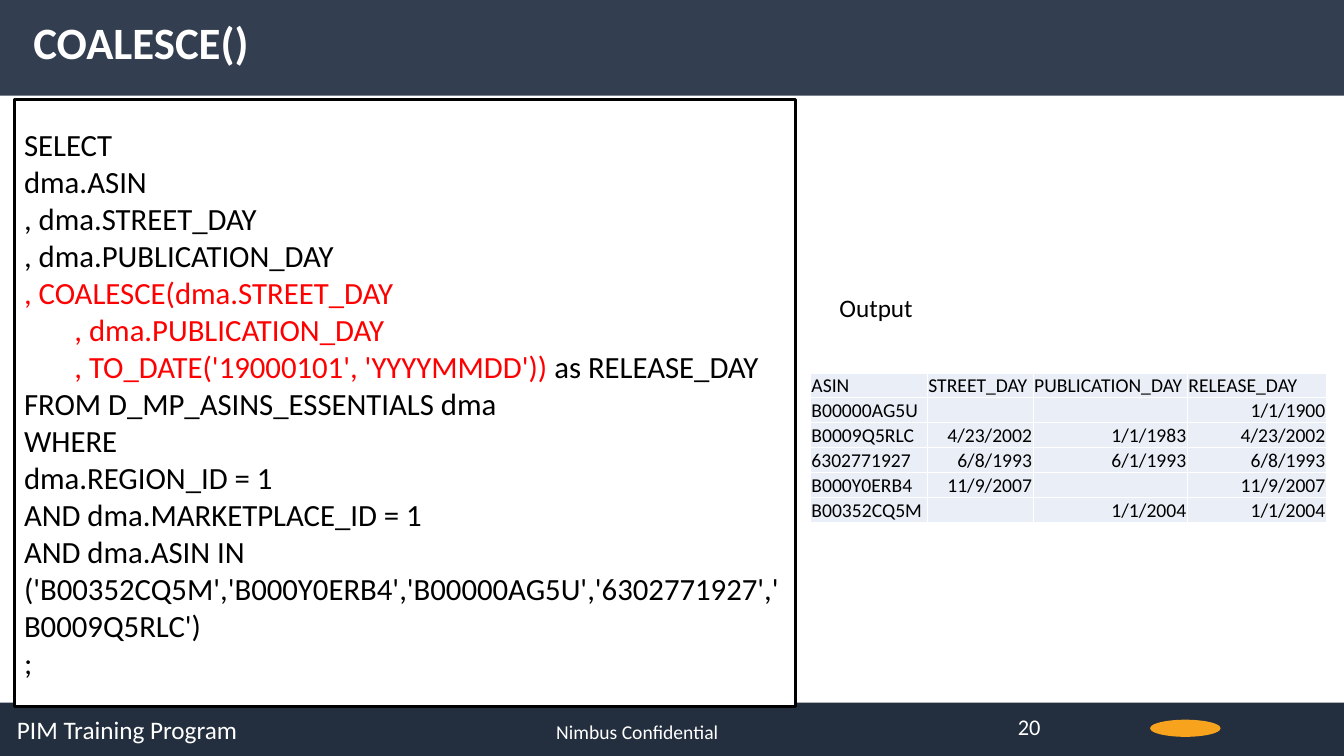
"""Build the COALESCE() training slide: a query on the left and its output table on the right."""
from dataclasses import dataclass
from typing import Any

import pptx
import pptx.dml.color
import pptx.enum.shapes
import pptx.enum.text
import pptx.oxml
import pptx.oxml.ns
import pptx.util

SHAPE = pptx.enum.shapes.MSO_SHAPE
ALIGN = pptx.enum.text.PP_ALIGN
ANCHOR = pptx.enum.text.MSO_ANCHOR
COLUMNS, ROWS = 160, 90
UNIT = pptx.util.Inches(7.5) // ROWS


@dataclass(frozen=True)
class Theme:
    font: str = "Calibri"
    header: str = "333F50"
    footer: str = "232F3E"
    accent: str = "F7A31E"
    cell: str = "EAEFF7"
    white: str = "FFFFFF"
    black: str = "000000"
    red: str = "FF0000"
    title: int = 32
    code: int = 22
    body: int = 18
    number: int = 16
    small: int = 14


@dataclass(frozen=True)
class Box:
    x: float
    y: float
    w: float
    h: float

    def emu(self) -> list[int]:
        return [round(v * UNIT) for v in (self.x, self.y, self.w, self.h)]


@dataclass(frozen=True)
class Panel:
    box: Box
    fill: str
    shape: Any = SHAPE.RECTANGLE


@dataclass(frozen=True)
class Label:
    text: str
    box: Box
    size: int
    color: str
    wrap: bool = True


T = Theme()
PANELS = [
    Panel(Box(0, 83.64, COLUMNS, 6.36), T.footer),
    Panel(Box(136.92, 85.68, 8.4, 2.04), T.accent, SHAPE.OVAL),
    Panel(Box(0, 0, COLUMNS, 11.4), T.header),
]
LABELS = [
    Label("PIM Training Program", Box(0.84, 84.48, 40, 4.8), T.body, T.white),
    Label("Nimbus Confidential", Box(65.04, 85.08, 30, 4), T.small, T.white),
    Label("20", Box(120, 84.36, 36, 4.8), T.number, T.white),
    Label("Output", Box(98.76, 34.2, 11.28, 4.8), T.body, T.black, False),
]
TITLE_BOX = Box(2.76, 1.2, 80.4, 7.68)
CODE_BOX = Box(1.68, 11.88, 93, 72.24)
QUERY = [
    [("SELECT", T.black)],
    [("dma.ASIN", T.black)],
    [(", dma.STREET_DAY", T.black)],
    [(", dma.PUBLICATION_DAY", T.black)],
    [(", COALESCE(dma.STREET_DAY", T.red)],
    [("\t, dma.PUBLICATION_DAY", T.red)],
    [("\t, TO_DATE('19000101', 'YYYYMMDD')) ", T.red), ("as RELEASE_DAY", T.black)],
    [("FROM D_MP_ASINS_ESSENTIALS dma", T.black)],
    [("WHERE", T.black)],
    [("dma.REGION_ID = 1", T.black)],
    [("AND dma.MARKETPLACE_ID = 1", T.black)],
    [("AND dma.ASIN IN ('B00352CQ5M','B000Y0ERB4','B00000AG5U','6302771927','B0009Q5RLC')", T.black)],
    [(";", T.black)],
]
TABLE_BOX = Box(96.48, 44.4, 61.44, 17.52)
TABLE_COLUMNS = [13.92, 12.6, 18.36, 16.56]
OUTPUT = [
    ["ASIN", "STREET_DAY", "PUBLICATION_DAY", "RELEASE_DAY"],
    ["B00000AG5U", "", "", "1/1/1900"],
    ["B0009Q5RLC", "4/23/2002", "1/1/1983", "4/23/2002"],
    ["6302771927", "6/8/1993", "6/1/1993", "6/8/1993"],
    ["B000Y0ERB4", "11/9/2007", "", "11/9/2007"],
    ["B00352CQ5M", "", "1/1/2004", "1/1/2004"],
]


def rgb(color: str) -> Any:
    return pptx.dml.color.RGBColor.from_string(color)


def style(p: Any, size: int, color: str, bold: bool = False, align: Any = ALIGN.LEFT) -> None:
    p.alignment = align
    p.font.name, p.font.size, p.font.bold = T.font, pptx.util.Pt(size), bold
    p.font.color.rgb = rgb(color)


def add_panel(slide: Any, panel: Panel) -> Any:
    sp = slide.shapes.add_shape(panel.shape, *panel.box.emu())
    sp.shadow.inherit = False
    sp.fill.solid()
    sp.fill.fore_color.rgb = rgb(panel.fill)
    sp.line.fill.background()
    return sp


def add_label(slide: Any, label: Label) -> None:
    tf = slide.shapes.add_textbox(*label.box.emu()).text_frame
    tf.word_wrap = label.wrap
    tf.text = label.text
    style(tf.paragraphs[0], label.size, label.color)


def add_title(slide: Any, text: str) -> None:
    sp = slide.shapes.title
    sp.left, sp.top, sp.width, sp.height = TITLE_BOX.emu()
    tf = sp.text_frame
    tf.text = text
    tf.auto_size = pptx.enum.text.MSO_AUTO_SIZE.NONE
    tf.vertical_anchor = ANCHOR.TOP
    style(tf.paragraphs[0], T.title, T.white, bold=True)
    sp.element.getparent().append(sp.element)


def add_query(slide: Any) -> None:
    sp = add_panel(slide, Panel(CODE_BOX, T.white))
    sp.line.color.rgb = rgb(T.black)
    sp.line.width = pptx.util.Pt(2.25)
    tf = sp.text_frame
    tf.word_wrap = True
    tf.vertical_anchor = ANCHOR.MIDDLE
    for i, line in enumerate(QUERY):
        p = tf.add_paragraph() if i else tf.paragraphs[0]
        style(p, T.code, T.black)
        for text, color in line:
            r = p.add_run()
            r.text = text
            r.font.color.rgb = rgb(color)


def add_borders(cell: Any) -> None:
    props = cell._tc.get_or_add_tcPr()
    for i, side in enumerate(("lnL", "lnR", "lnT", "lnB")):
        props.insert(i, pptx.oxml.parse_xml(
            f'<a:{side} {pptx.oxml.ns.nsdecls("a")} w="12700"><a:solidFill>'
            f'<a:srgbClr val="{T.white}"/></a:solidFill></a:{side}>'))


def add_output(slide: Any) -> None:
    table = slide.shapes.add_table(len(OUTPUT), len(TABLE_COLUMNS), *TABLE_BOX.emu()).table
    table.first_row = table.horz_banding = False
    for column, width in zip(table.columns, TABLE_COLUMNS):
        column.width = round(width * UNIT)
    for i, values in enumerate(OUTPUT):
        for j, value in enumerate(values):
            cell = table.cell(i, j)
            cell.text = value
            cell.margin_left = cell.margin_right = cell.margin_top = pptx.util.Inches(0.01)
            cell.margin_bottom = 0
            cell.vertical_anchor = ANCHOR.BOTTOM
            cell.fill.solid()
            cell.fill.fore_color.rgb = rgb(T.cell)
            add_borders(cell)
            style(cell.text_frame.paragraphs[0], T.small, T.black,
                  align=ALIGN.RIGHT if i and j else ALIGN.LEFT)


def main() -> None:
    prs = pptx.Presentation()
    prs.slide_width, prs.slide_height = COLUMNS * UNIT, ROWS * UNIT
    slide = prs.slides.add_slide(prs.slide_layouts[5])
    for panel in PANELS:
        add_panel(slide, panel)
    add_query(slide)
    add_output(slide)
    add_title(slide, "COALESCE()")
    for label in LABELS:
        add_label(slide, label)
    prs.save("out.pptx")


if __name__ == "__main__":
    main()
